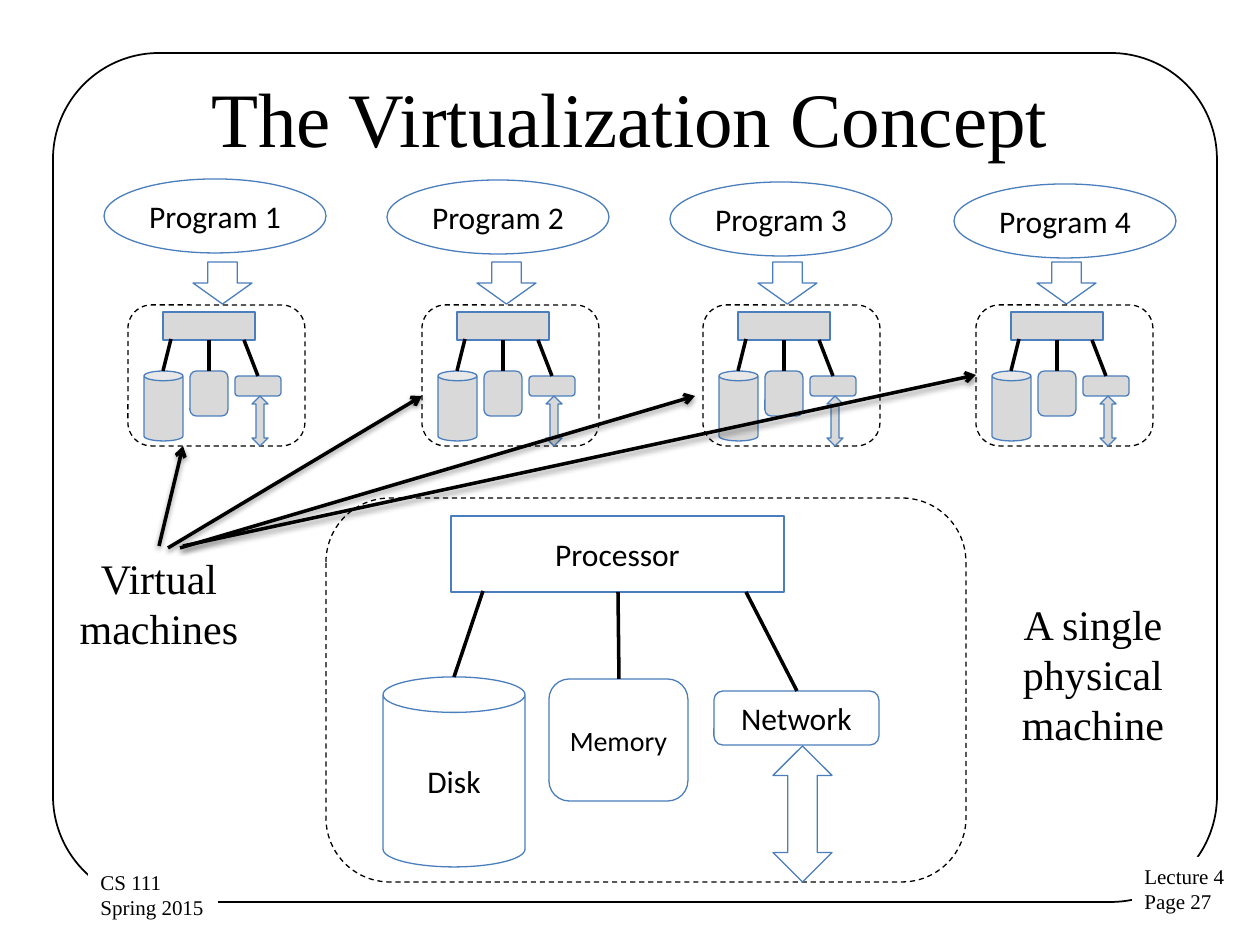
from dataclasses import dataclass
from typing import Any, NamedTuple, Optional

import lxml.etree
import pptx
import pptx.dml.color
import pptx.enum.dml
import pptx.enum.shapes
import pptx.enum.text
import pptx.oxml.ns
import pptx.util

PIXELS_PER_INCH = 126
BLACK = pptx.dml.color.RGBColor(0x00, 0x00, 0x00)
WHITE = pptx.dml.color.RGBColor(0xFF, 0xFF, 0xFF)
GREY = pptx.dml.color.RGBColor(0xD9, 0xD9, 0xD9)
BLUE = pptx.dml.color.RGBColor(0x4B, 0x7E, 0xBC)
SERIF = "Times New Roman"
SANS = "Calibri"
SHAPE = pptx.enum.shapes.MSO_SHAPE
ALIGN = pptx.enum.text.PP_ALIGN
ANCHOR = pptx.enum.text.MSO_ANCHOR


class Box(NamedTuple):
    """A rectangle in pixels."""
    left: int
    top: int
    width: int
    height: int


class Link(NamedTuple):
    """A straight line between two points in pixels."""
    x1: int
    y1: int
    x2: int
    y2: int


@dataclass
class Part:
    """A hardware part, placed within the full-size machine."""
    kind: Any
    box: Box
    label: str = ""
    size: int = 18


@dataclass
class Program:
    """A program, the arrow below it, and the left edge of its virtual machine."""
    name: str
    oval: Box
    arrow: Box
    machine_left: int


PHYSICAL = Box(326, 498, 640, 384)
PARTS = [
    Part(SHAPE.RECTANGLE, Box(125, 18, 333, 76), "Processor"),
    Part(SHAPE.ROUNDED_RECTANGLE, Box(223, 181, 139, 122), "Memory", 16),
    Part(SHAPE.CAN, Box(57, 179, 142, 190), "Disk"),
    Part(SHAPE.ROUNDED_RECTANGLE, Box(388, 193, 165, 54), "Network"),
    Part(SHAPE.UP_DOWN_ARROW, Box(447, 248, 59, 136)),
]
BUSES = [Link(292, 94, 293, 181), Link(157, 93, 128, 179), Link(420, 94, 471, 193)]
PROGRAMS = [
    Program(f"Program {i + 1}", Box(104 + 850 * i // 3, 179 + 5 * i // 3, 222, 74),
            Box(arrow_left, 262, 59, 42), machine_left)
    for i, (arrow_left, machine_left) in enumerate(
        [(193, 128), (477, 422), (758, 703), (1037, 976)])
]
POINTERS = [Link(159, 546, 183, 446), Link(168, 548, 422, 396),
            Link(180, 548, 695, 396), Link(183, 546, 976, 375)]


def emu(pixels: int) -> int:
    """Turn pixels into EMU."""
    return round(pixels * pptx.util.Inches(1) / PIXELS_PER_INCH)


def write(target: Any, text: str, *, font: str = SANS, size: int = 18,
          align: Any = ALIGN.CENTER, anchor: Any = ANCHOR.MIDDLE) -> Any:
    """Fill a shape with formatted text, one paragraph a line; return its frame."""
    frame = target.text_frame
    frame.word_wrap = True
    frame.vertical_anchor = anchor
    for i, words in enumerate(text.split("\n")):
        para = frame.paragraphs[0] if i == 0 else frame.add_paragraph()
        para.alignment = align
        span = para.add_run()
        span.text = words
        span.font.name = font
        span.font.size = pptx.util.Pt(size)
        span.font.color.rgb = BLACK
    return frame


def add_shape(page: Any, kind: Any, box: Box, fill: Optional[Any] = WHITE,
              line: Optional[Any] = BLUE, weight: float = 0.75) -> Any:
    """Add a preset shape without shadow."""
    shape = page.shapes.add_shape(kind, *map(emu, box))
    shape.shadow.inherit = False
    if fill is None:
        shape.fill.background()
    else:
        shape.fill.solid()
        shape.fill.fore_color.rgb = fill
    if line is None:
        shape.line.fill.background()
    else:
        shape.line.color.rgb = line
        shape.line.width = pptx.util.Pt(weight)
    return shape


def add_link(page: Any, link: Link, pointer: bool = False) -> None:
    """Add a black line; a pointer also gets an arrowhead and a soft shadow."""
    connector = page.shapes.add_connector(
        pptx.enum.shapes.MSO_CONNECTOR.STRAIGHT, *map(emu, link))
    connector.line.color.rgb = BLACK
    connector.line.width = pptx.util.Pt(2)
    qn = pptx.oxml.ns.qn
    properties = connector._element.spPr
    effects = lxml.etree.SubElement(properties, qn("a:effectLst"))
    if pointer:
        lxml.etree.SubElement(properties.find(qn("a:ln")), qn("a:tailEnd"), type="arrow")
        shadow = lxml.etree.SubElement(
            effects, qn("a:outerShdw"), blurRad=str(pptx.util.Pt(3.1)),
            dist=str(pptx.util.Pt(1.6)), dir="5400000", rotWithShape="0")
        color = lxml.etree.SubElement(shadow, qn("a:srgbClr"), val=str(BLACK))
        lxml.etree.SubElement(color, qn("a:alpha"), val="38000")


def add_machine(page: Any, frame: Box, fill: Any, labelled: bool) -> None:
    """Draw the machine, scaled into the given dashed frame."""
    across = frame.width / PHYSICAL.width
    down = frame.height / PHYSICAL.height
    outline = add_shape(page, SHAPE.ROUNDED_RECTANGLE, frame, None, BLACK)
    outline.line.dash_style = pptx.enum.dml.MSO_LINE.DASH
    for part in PARTS:
        left, top, width, height = part.box
        shape = add_shape(page, part.kind, Box(
            round(frame.left + left * across), round(frame.top + top * down),
            round(width * across), round(height * down)), fill)
        if labelled and part.label:
            write(shape, part.label, size=part.size)
    for bus in BUSES:
        add_link(page, Link(
            round(frame.left + bus.x1 * across), round(frame.top + bus.y1 * down),
            round(frame.left + bus.x2 * across), round(frame.top + bus.y2 * down)))


def add_caption(page: Any, box: Box, text: str) -> None:
    """Add a large centred caption."""
    caption = page.shapes.add_textbox(*map(emu, box))
    write(caption, text, font=SERIF, size=24, anchor=ANCHOR.TOP)


def add_footer(page: Any, box: Box, text: str) -> None:
    """Add a small white label that covers the border of the page."""
    label = add_shape(page, SHAPE.RECTANGLE, box, WHITE, None)
    frame = write(label, text, font=SERIF, size=12, align=ALIGN.LEFT, anchor=ANCHOR.TOP)
    frame.margin_right = 0


def main() -> None:
    """Build and save the slide."""
    deck = pptx.Presentation()
    deck.slide_width, deck.slide_height = emu(1260), emu(945)
    page = deck.slides.add_slide(deck.slide_layouts[5])

    border = add_shape(page, SHAPE.ROUNDED_RECTANGLE, Box(53, 53, 1164, 849),
                       None, BLACK, 1)
    border.adjustments[0] = 0.125
    add_footer(page, Box(1132, 857, 107, 64), "Lecture 4\nPage 27")
    add_footer(page, Box(88, 863, 130, 64), "CS 111\nSpring 2015")

    title = page.shapes.title
    title.left, title.top, title.width, title.height = map(emu, Box(63, 38, 1134, 158))
    write(title, "The Virtualization Concept", font=SERIF, size=44)

    add_machine(page, PHYSICAL, WHITE, True)
    for program in PROGRAMS:
        write(add_shape(page, SHAPE.OVAL, program.oval), program.name)
        add_shape(page, SHAPE.DOWN_ARROW, program.arrow)
        add_machine(page, Box(program.machine_left, 305, 177, 141), GREY, False)

    add_caption(page, Box(63, 546, 192, 115), "Virtual machines")
    for pointer in POINTERS:
        add_link(page, pointer, pointer=True)
    add_caption(page, Box(997, 592, 192, 165), "A single physical machine")
    deck.save("out.pptx")


main()
